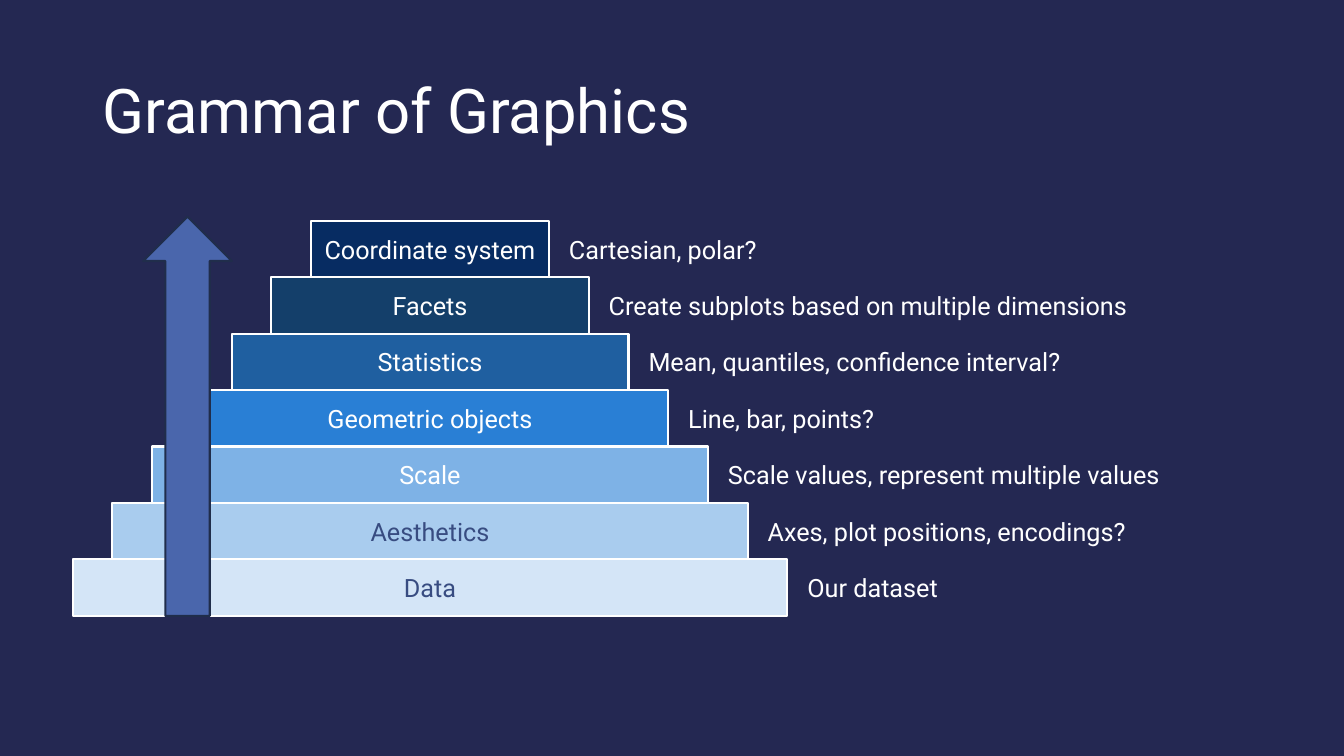
from pptx import Presentation
from pptx.dml.color import RGBColor
from pptx.enum import shapes, text
from pptx.util import Inches, Pt

NAVY = RGBColor(0x24, 0x28, 0x52)
WHITE = RGBColor(0xFF, 0xFF, 0xFF)
SLATE = RGBColor(0x38, 0x4C, 0x81)
ARROW_FILL = RGBColor(0x4A, 0x66, 0xAC)
ARROW_LINE = RGBColor(0x20, 0x2D, 0x4B)

# Layers from bottom to top: name, fill, text colour, caption, caption width
LAYERS = [
    ("Data", RGBColor(0xD4, 0xE5, 0xF7), SLATE, "Our dataset", 2.36),
    ("Aesthetics", RGBColor(0xA9, 0xCC, 0xEE), SLATE,
     "Axes, plot positions, encodings?", 3.93),
    ("Scale", RGBColor(0x7E, 0xB2, 0xE6), WHITE,
     "Scale values, represent multiple values", 4.68),
    ("Geometric objects", RGBColor(0x29, 0x7F, 0xD5), WHITE,
     "Line, bar, points?", 4.72),
    ("Statistics", RGBColor(0x1F, 0x5F, 0xA0), WHITE,
     "Mean, quantiles, confidence interval?", 5.51),
    ("Facets", RGBColor(0x14, 0x3F, 0x6A), WHITE,
     "Create subplots based on multiple dimensions", 6.3),
    ("Coordinate system", RGBColor(0x07, 0x2C, 0x62), WHITE,
     "Cartesian, polar?", 7.09),
]
LEFT, BOTTOM, BASE_W, TOP_W, LAYER_H = 0.72, 6.11, 7.09, 2.36, 0.56
STEP = (BASE_W - TOP_W) / (len(LAYERS) - 1) / 2
CAPTION_GAP = 0.1


def write(shape, words, size, color, align):
    tf = shape.text_frame
    tf.word_wrap = True
    tf.vertical_anchor = text.MSO_ANCHOR.MIDDLE
    p = tf.paragraphs[0]
    p.text = words
    p.alignment = align
    p.font.name = "Roboto"
    p.font.size = Pt(size)
    p.font.color.rgb = color
    return p


def paint(shape, fill, line):
    shape.shadow.inherit = False
    shape.fill.solid()
    shape.fill.fore_color.rgb = fill
    shape.line.color.rgb = line
    shape.line.width = Pt(1.5)


prs = Presentation()
prs.slide_width, prs.slide_height = Inches(13.33), Inches(7.5)
s = prs.slides.add_slide(prs.slide_layouts[5])
s.background.fill.solid()
s.background.fill.fore_color.rgb = NAVY

# Title
title = s.shapes.title
title.left, title.top = Inches(0.92), Inches(0.4)
title.width, title.height = Inches(11.5), Inches(1.45)
p = write(title, "Grammar of Graphics", 44, WHITE, text.PP_ALIGN.LEFT)
p.line_spacing = 0.9

# Pyramid layers, each with its caption to the right
pyramid = s.shapes.add_group_shape()
for i, (name, fill, color, caption, caption_w) in enumerate(LAYERS):
    x, w = LEFT + i * STEP, BASE_W - 2 * i * STEP
    y = BOTTOM - (i + 1) * LAYER_H
    sp = pyramid.shapes.add_shape(shapes.MSO_SHAPE.RECTANGLE, Inches(x),
                                  Inches(y), Inches(w), Inches(LAYER_H))
    paint(sp, fill, WHITE)
    write(sp, name, 18, color, text.PP_ALIGN.CENTER)
    tb = s.shapes.add_textbox(Inches(x + w + CAPTION_GAP), Inches(y),
                              Inches(caption_w), Inches(LAYER_H))
    write(tb, caption, 18, WHITE, text.PP_ALIGN.LEFT)

# Upward arrow in front of the pyramid
arrow = s.shapes.add_shape(shapes.MSO_SHAPE.UP_ARROW, Inches(1.42),
                           Inches(2.15), Inches(0.88), Inches(3.96))
paint(arrow, ARROW_FILL, ARROW_LINE)

prs.save("out.pptx")
